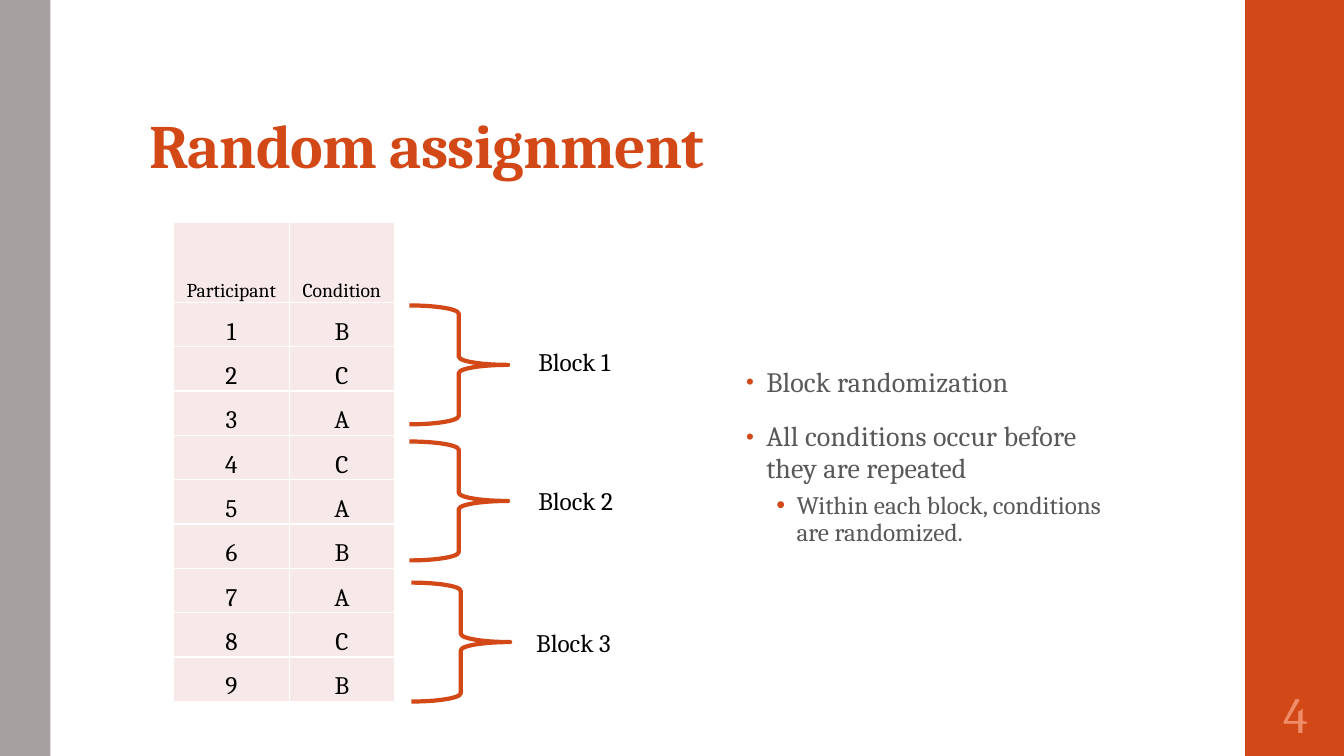
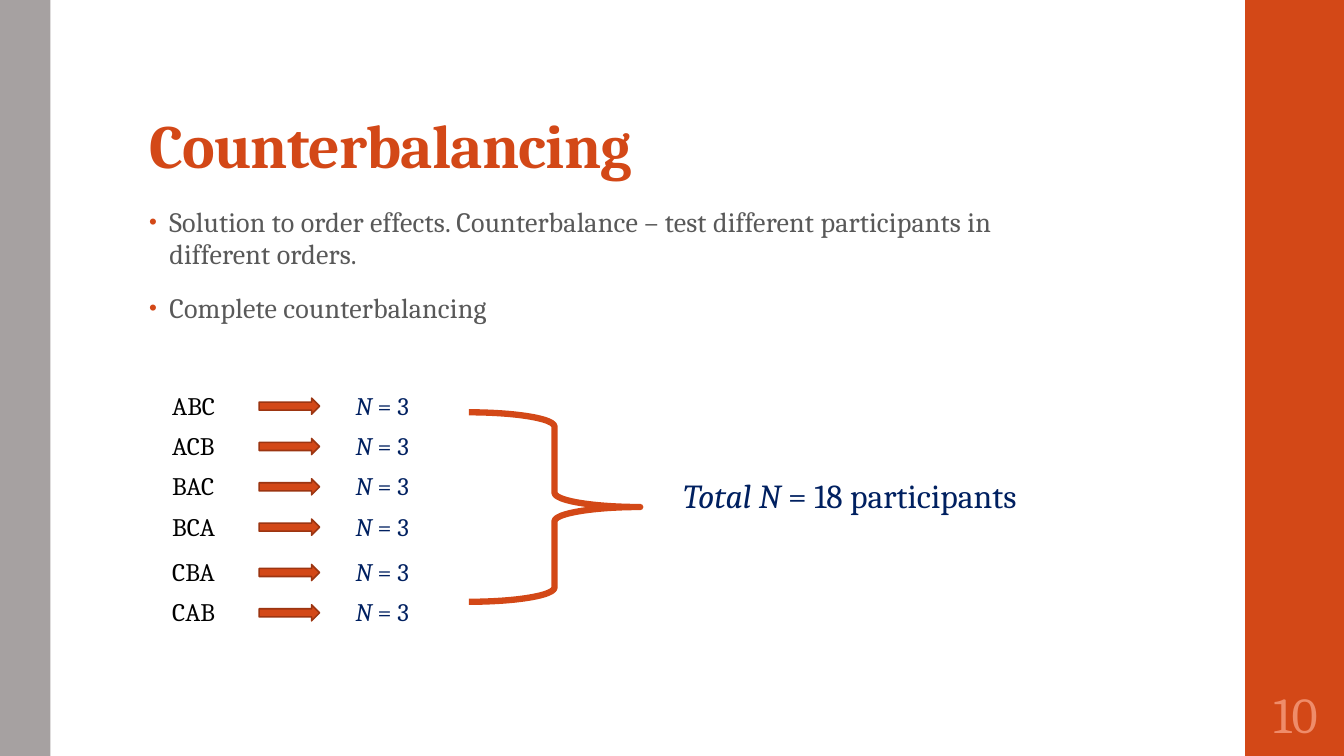
from dataclasses import dataclass

from lxml.etree import SubElement
from pptx import Presentation
from pptx.dml.color import RGBColor
from pptx.enum.shapes import MSO_SHAPE
from pptx.enum.text import MSO_ANCHOR, MSO_AUTO_SIZE, PP_ALIGN
from pptx.oxml.ns import qn
from pptx.util import Inches, Pt

COLORS = {
    "orange": "D34817", "rust": "9C3511", "gray": "A6A1A1", "pale": "EF8C6A",
    "pink": "F7E9E8", "white": "FFFFFF", "black": "000000", "text": "595959",
    "navy": "002060",
}
FONT = "Cambria"


@dataclass
class Box:
    left: float
    top: float
    width: float
    height: float

    def spans(self) -> tuple:
        return tuple(Inches(v) for v in (self.left, self.top, self.width, self.height))


@dataclass
class Look:
    size: float
    color: str
    bold: bool = False
    track: int = 0


@dataclass
class Level:
    look: Look
    indent: float
    lines: float
    before: float
    after: float
    dot: int


TITLE = Look(44, "orange", True, -50)
PAGE = Look(36, "pale")
HEAD = Look(14, "black")
PLAIN = Look(18, "black")
COUNT = Look(18, "navy")
TOTAL = Look(24, "navy")
LEVELS = [
    Level(Look(20, "text", track=10), 0.2, 0.95, 14, 2, 80),
    Level(Look(18, "text"), 0.5, 0.9, 3, 3, 100),
]

# Formats
BASE = {"word_wrap": True}
GROW = BASE | {"auto_size": MSO_AUTO_SIZE.SHAPE_TO_FIT_TEXT}
FIXED = BASE | {"auto_size": MSO_AUTO_SIZE.NONE}
TITLE_FRAME = FIXED | {
    "vertical_anchor": MSO_ANCHOR.BOTTOM,
    "margin_top": Inches(0.03), "margin_bottom": Inches(0.05),
}
SIDES = ("margin_left", "margin_right", "margin_top", "margin_bottom")
PAGE_FRAME = FIXED | {"vertical_anchor": MSO_ANCHOR.MIDDLE} | dict.fromkeys(SIDES, Inches(0.05))
CELL = {"vertical_anchor": MSO_ANCHOR.BOTTOM} | dict.fromkeys(SIDES, 0)


def rgb(name: str) -> RGBColor:
    return RGBColor.from_string(COLORS[name])


def apply(item, values: dict) -> None:
    for key, value in values.items():
        setattr(item, key, value)


def place(shape, box: Box) -> None:
    apply(shape, dict(zip(("left", "top", "width", "height"), box.spans())))


# Text
def add_run(para, text: str, look: Look, italic: bool = False) -> None:
    run = para.add_run()
    run.text = text
    apply(run.font, {"name": FONT, "size": Pt(look.size), "bold": look.bold, "italic": italic})
    run.font.color.rgb = rgb(look.color)
    if look.track:
        run._r.get_or_add_rPr().set("spc", str(look.track))


def add_label(slide, box: Box, look: Look, text: str, lead: str = "",
              frame: dict = GROW, align: PP_ALIGN = PP_ALIGN.LEFT) -> None:
    body = slide.shapes.add_textbox(*box.spans()).text_frame
    apply(body, frame)
    para = body.paragraphs[0]
    para.alignment = align
    if lead:
        add_run(para, lead, look, True)
    add_run(para, text, look)


def add_dot(para, level: Level) -> None:
    props = para._p.get_or_add_pPr()
    props.set("marL", str(Inches(level.indent)))
    props.set("indent", str(Inches(-0.2)))
    tint = SubElement(props, qn("a:buClr"))
    SubElement(tint, qn("a:srgbClr"), val=COLORS["orange"])
    SubElement(props, qn("a:buSzPct"), val=str(level.dot * 1000))
    SubElement(props, qn("a:buFont"), typeface="Arial")
    SubElement(props, qn("a:buChar"), char="•")


def fill_list(slide, box: Box, items: list[tuple[int, str]]) -> None:
    holder = slide.placeholders[1]
    place(holder, box)
    frame = holder.text_frame
    apply(frame, FIXED)
    for index, (depth, text) in enumerate(items):
        para = frame.add_paragraph() if index else frame.paragraphs[0]
        level = LEVELS[depth]
        add_dot(para, level)
        apply(para, {
            "level": depth, "alignment": PP_ALIGN.LEFT, "line_spacing": level.lines,
            "space_before": Pt(level.before if index else 0), "space_after": Pt(level.after),
        })
        add_run(para, text, level.look)


# Shapes
def add_form(slide, kind: MSO_SHAPE, box: Box, fill: str = "", line: str = "",
             weight: float = 0) -> None:
    shape = slide.shapes.add_shape(kind, *box.spans())
    shape.shadow.inherit = False
    if fill:
        shape.fill.solid()
        shape.fill.fore_color.rgb = rgb(fill)
    else:
        shape.fill.background()
    if line:
        shape.line.color.rgb = rgb(line)
        shape.line.width = Pt(weight)
    else:
        shape.line.fill.background()


def add_brace(slide, box: Box, weight: float) -> None:
    add_form(slide, MSO_SHAPE.RIGHT_BRACE, box, line="orange", weight=weight)


# Shared slide frame
def add_page(deck, title: str, number: int):
    slide = deck.slides.add_slide(deck.slide_layouts[1])
    add_form(slide, MSO_SHAPE.RECTANGLE, Box(12.35, 0, 1, 7.5), "orange")
    add_form(slide, MSO_SHAPE.RECTANGLE, Box(0, 0, 0.5, 7.5), "gray")
    place(slide.shapes.title, Box(1.38, 0.32, 10.6, 1.53))
    frame = slide.shapes.title.text_frame
    apply(frame, TITLE_FRAME)
    para = frame.paragraphs[0]
    apply(para, {"alignment": PP_ALIGN.LEFT, "line_spacing": 0.9})
    add_run(para, title, TITLE)
    add_label(slide, Box(12.35, 6.75, 1, 0.65), PAGE, str(number),
              frame=PAGE_FRAME, align=PP_ALIGN.CENTER)
    return slide


# Table
def fill_cell(cell, text: str, look: Look) -> None:
    props = cell._tc.get_or_add_tcPr()
    for side in ("lnL", "lnR", "lnT", "lnB"):
        edge = SubElement(props, qn(f"a:{side}"), w=str(Pt(1)))
        solid = SubElement(edge, qn("a:solidFill"))
        SubElement(solid, qn("a:srgbClr"), val=COLORS["white"])
    cell.fill.solid()
    cell.fill.fore_color.rgb = rgb("pink")
    apply(cell, CELL)
    para = cell.text_frame.paragraphs[0]
    para.alignment = PP_ALIGN.CENTER
    add_run(para, text, look)


def add_grid(slide, box: Box, rows: list[tuple[str, str]]) -> None:
    table = slide.shapes.add_table(len(rows), 2, *box.spans()).table
    apply(table, {"first_row": False, "horz_banding": False})
    for column, width in zip(table.columns, (1.15, 1.04)):
        column.width = Inches(width)
    for index, row in enumerate(rows):
        table.rows[index].height = Inches(0.44 if index else 0.79)
        for spot, text in enumerate(row):
            fill_cell(table.cell(index, spot), text, PLAIN if index else HEAD)


def add_random(deck) -> None:
    slide = add_page(deck, "Random assignment", 4)
    rows = [("Participant", "Condition")]
    rows += [(str(index), letter) for index, letter in enumerate("BCACABACB", 1)]
    add_grid(slide, Box(1.72, 2.21, 2.19, 4.75), rows)
    blocks = [(4.06, 3.03, 5.24, 3.39), (4.06, 4.38, 5.24, 4.77), (4.08, 5.78, 5.22, 6.17)]
    for index, (left, top, label, base) in enumerate(blocks, 1):
        add_brace(slide, Box(left, top, 0.98, 1.18), 3)
        add_label(slide, Box(label, base, 1.92, 0.4), PLAIN, f"Block {index}")
    fill_list(slide, Box(7.3, 3.59, 3.83, 2.71), [
        (0, "Block randomization"),
        (0, "All conditions occur before they are repeated"),
        (1, "Within each block, conditions are randomized."),
    ])


def add_counter(deck) -> None:
    slide = add_page(deck, "Counterbalancing", 10)
    fill_list(slide, Box(1.38, 2, 9.4, 1.37), [
        (0, "Solution to order effects. Counterbalance – test different participants "
            "in different orders."),
        (0, "Complete counterbalancing"),
    ])
    # Orders, with a wider gap after the fourth
    for index, order in enumerate(("ABC", "ACB", "BAC", "BCA", "CBA", "CAB")):
        top = 3.82 + 0.4 * index + (0.05 if index > 3 else 0)
        add_label(slide, Box(1.61, top, 1.12, 0.4), PLAIN, order)
        add_label(slide, Box(3.43, top, 1.09, 0.4), COUNT, " = 3", "N")
        add_form(slide, MSO_SHAPE.RIGHT_ARROW, Box(2.57, top + 0.13, 0.6, 0.16),
                 "orange", "rust", 1.1)
    add_label(slide, Box(6.68, 4.66, 4.42, 0.5), TOTAL, " = 18 participants", "Total N")
    add_brace(slide, Box(4.65, 4.09, 1.7, 1.88), 4.5)


def main() -> None:
    deck = Presentation()
    apply(deck, {"slide_width": Inches(13.33), "slide_height": Inches(7.5)})
    add_random(deck)
    add_counter(deck)
    deck.save("out.pptx")


if __name__ == "__main__":
    main()
